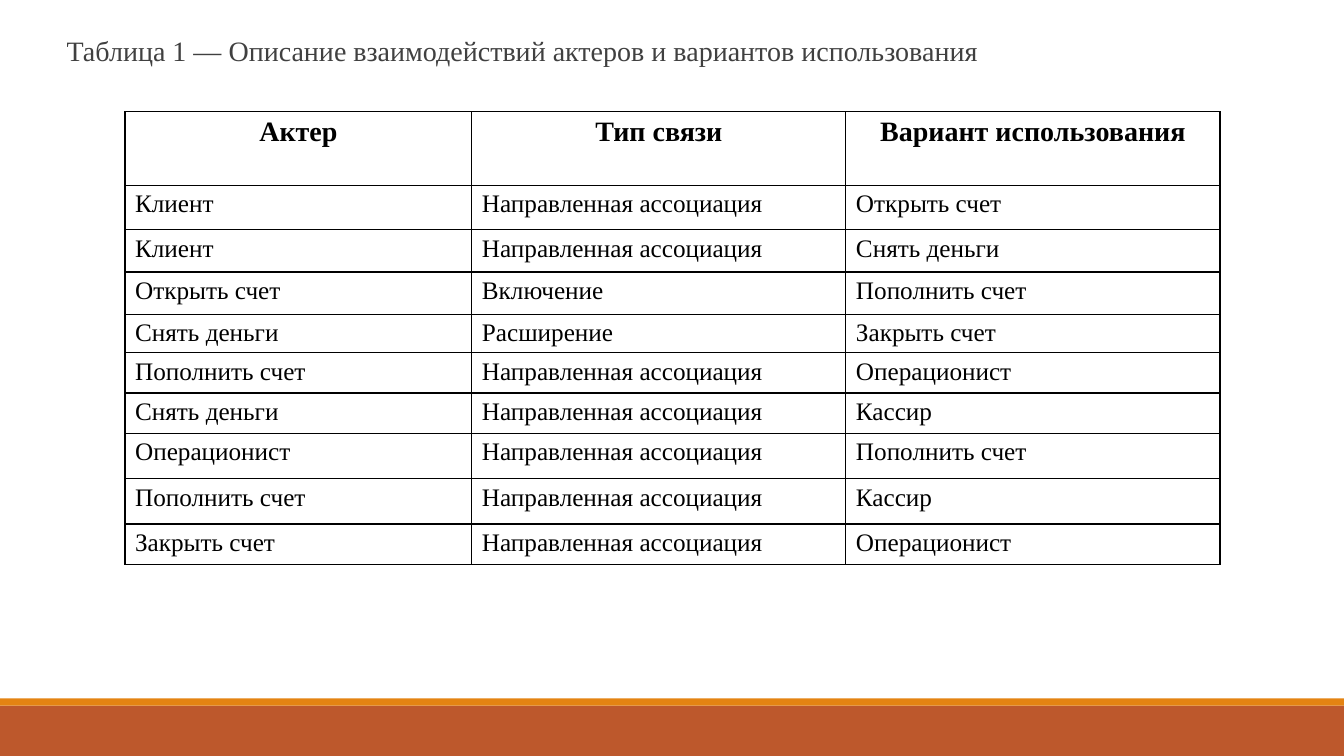
from lxml import etree
from pptx import Presentation
from pptx.dml.color import RGBColor
from pptx.enum import shapes, text
from pptx.oxml import ns
from pptx.util import Inches, Pt

RUST = RGBColor(0xBD, 0x58, 0x2C)
ORANGE = RGBColor(0xE4, 0x83, 0x12)
GRAY = RGBColor(0x40, 0x40, 0x40)
BLACK = RGBColor(0, 0, 0)
FONT = "Times New Roman"

SLIDE_WIDTH, SLIDE_HEIGHT = 13.33, 7.5
CAPTION = "Таблица 1 — Описание взаимодействий актеров и вариантов использования"
COLUMN_WIDTHS = [3.44, 3.71, 3.71]
ROW_HEIGHTS = [0.73, 0.44, 0.42, 0.42, 0.38, 0.4, 0.4, 0.45, 0.45, 0.4]
ASSOCIATION = "Направленная ассоциация"
ROWS = [
    ("Актер", "Тип связи", "Вариант использования"),
    ("Клиент", ASSOCIATION, "Открыть счет"),
    ("Клиент", ASSOCIATION, "Снять деньги"),
    ("Открыть счет", "Включение", "Пополнить счет"),
    ("Снять деньги", "Расширение", "Закрыть счет"),
    ("Пополнить счет", ASSOCIATION, "Операционист"),
    ("Снять деньги", ASSOCIATION, "Кассир"),
    ("Операционист", ASSOCIATION, "Пополнить счет"),
    ("Пополнить счет", ASSOCIATION, "Кассир"),
    ("Закрыть счет", ASSOCIATION, "Операционист"),
]


def add_run(paragraph, words, size, color, bold=False):
    run = paragraph.add_run()
    run.text = words
    run.font.name = FONT
    run.font.size = Pt(size)
    run.font.bold = bold
    run.font.color.rgb = color


def add_child(parent, tag, **attributes):
    return etree.SubElement(parent, ns.qn(tag), attributes)


def add_footer(slide, left, top, width, height):
    """Rust band with a thin orange strip along its top."""
    strip = 0.07
    bands = [(top + strip, height - strip, RUST), (top, strip, ORANGE)]
    for band_top, band_height, color in bands:
        band = slide.shapes.add_shape(
            shapes.MSO_SHAPE.RECTANGLE,
            Inches(left), Inches(band_top), Inches(width), Inches(band_height))
        band.shadow.inherit = False
        band.fill.solid()
        band.fill.fore_color.rgb = color
        band.line.fill.background()


def fill_caption(placeholder, left, top, width, height):
    placeholder.left, placeholder.top = Inches(left), Inches(top)
    placeholder.width, placeholder.height = Inches(width), Inches(height)
    frame = placeholder.text_frame
    frame.word_wrap = True
    frame.auto_size = text.MSO_AUTO_SIZE.NONE
    frame.vertical_anchor = text.MSO_ANCHOR.TOP
    frame.margin_left = frame.margin_right = 0
    frame.margin_top = frame.margin_bottom = Inches(0.05)
    paragraph = frame.paragraphs[0]
    paragraph.line_spacing = 0.8
    paragraph.space_before = Pt(12)
    paragraph.space_after = Pt(2)
    add_run(paragraph, CAPTION, 20, GRAY)
    # Hanging indent with a blank bullet
    properties = paragraph._p.get_or_add_pPr()
    properties.set("marL", str(Inches(0.1)))
    properties.set("indent", str(Inches(-0.1)))
    bullet_color = add_child(properties, "a:buClr")
    add_child(bullet_color, "a:srgbClr", val=str(ORANGE))
    add_child(properties, "a:buChar", char=" ")


def set_borders(cell):
    properties = cell._tc.get_or_add_tcPr()
    for side in ("a:lnL", "a:lnR", "a:lnT", "a:lnB"):
        line = add_child(properties, side, w=str(Pt(1)))
        fill = add_child(line, "a:solidFill")
        add_child(fill, "a:srgbClr", val=str(BLACK))


def add_interactions_table(slide, left, top):
    table = slide.shapes.add_table(
        len(ROWS), len(COLUMN_WIDTHS), Inches(left), Inches(top),
        Inches(sum(COLUMN_WIDTHS)), Inches(sum(ROW_HEIGHTS))).table
    table.horz_banding = False
    for column, width in zip(table.columns, COLUMN_WIDTHS):
        column.width = Inches(width)
    for row_index, (row, height) in enumerate(zip(table.rows, ROW_HEIGHTS)):
        row.height = Inches(height)
        header = row_index == 0
        for cell, words in zip(row.cells, ROWS[row_index]):
            set_borders(cell)
            cell.fill.background()
            paragraph = cell.text_frame.paragraphs[0]
            paragraph.alignment = text.PP_ALIGN.CENTER if header else text.PP_ALIGN.LEFT
            add_run(paragraph, words, 20 if header else 18, BLACK, header)


def main():
    presentation = Presentation()
    presentation.slide_width = Inches(SLIDE_WIDTH)
    presentation.slide_height = Inches(SLIDE_HEIGHT)
    slide = presentation.slides.add_slide(presentation.slide_layouts[1])
    title = slide.shapes.title._element
    title.getparent().remove(title)

    fill_caption(slide.placeholders[1], 0.56, 0.35, 11, 0.38)
    add_footer(slide, 0, 6.93, SLIDE_WIDTH, SLIDE_HEIGHT - 6.93)
    add_interactions_table(slide, 1.24, 1.11)
    presentation.save("out.pptx")


if __name__ == "__main__":
    main()
